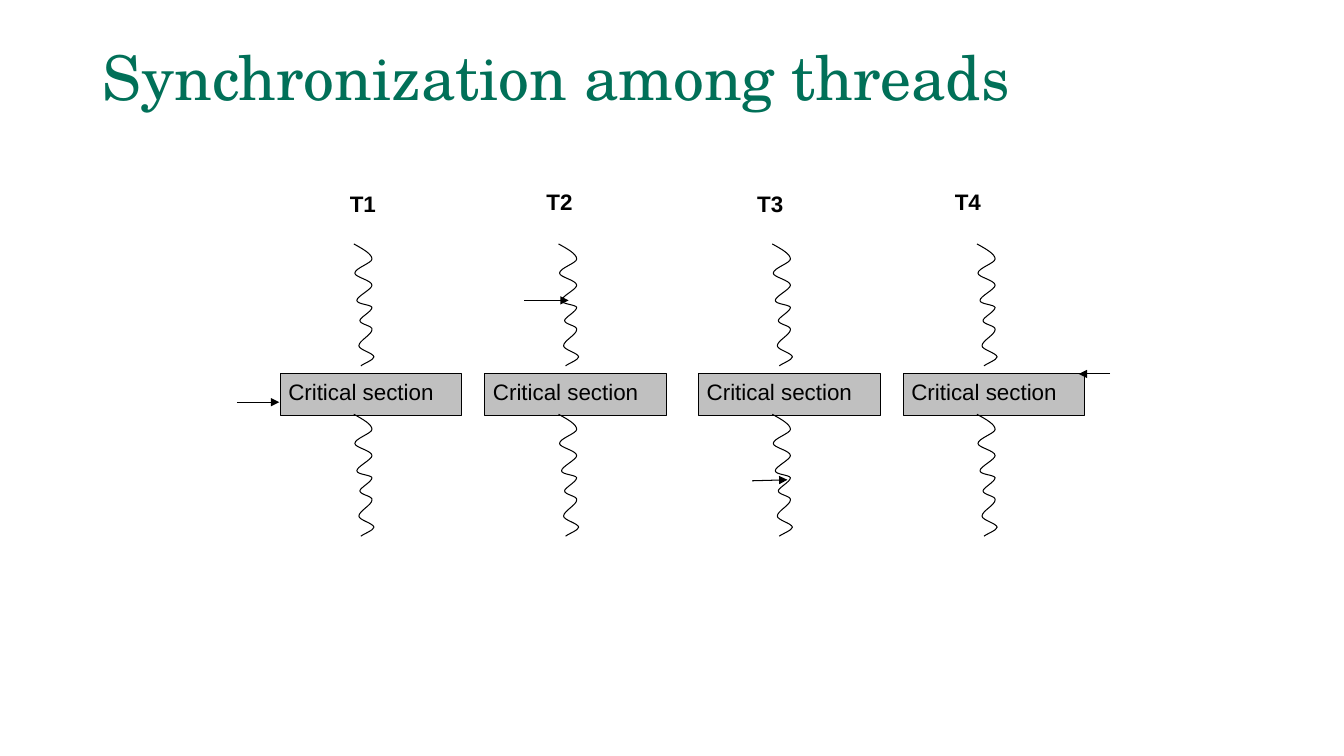
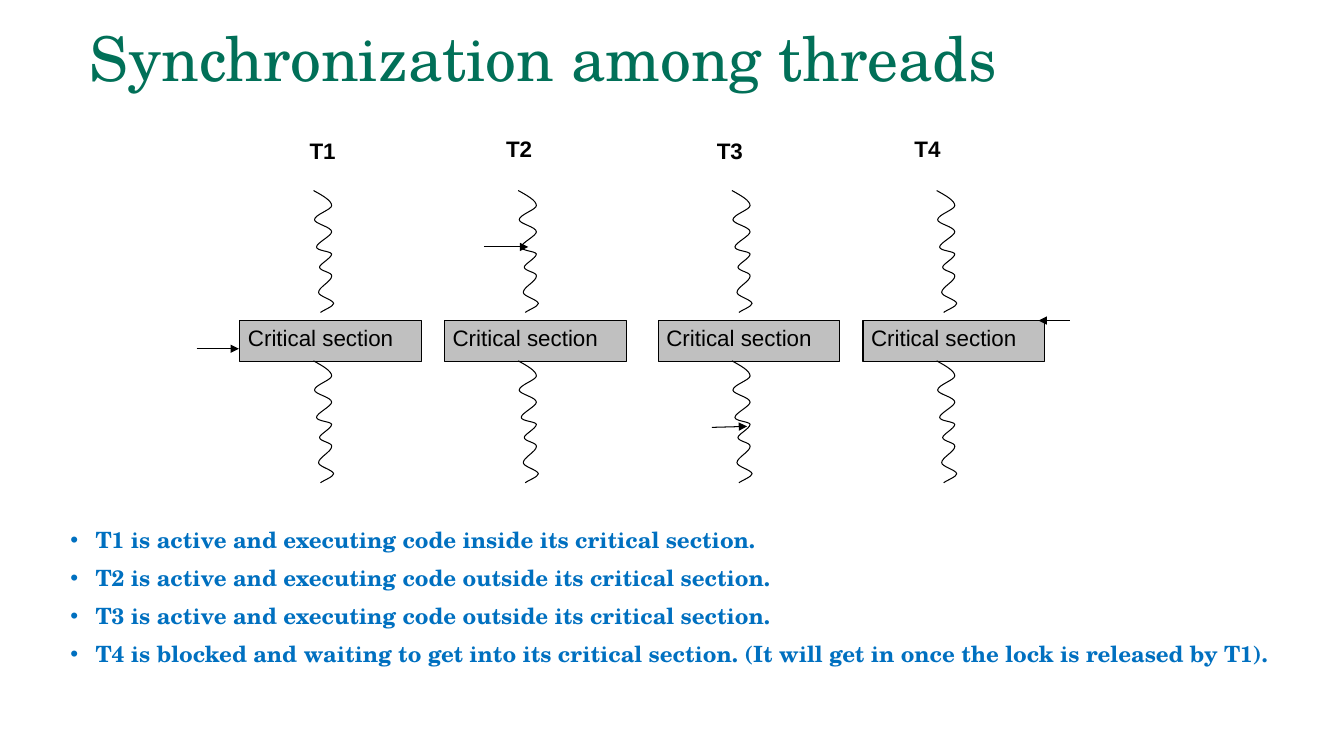
import lxml.etree
import pptx
import pptx.dml.color
import pptx.enum.shapes
import pptx.enum.text
import pptx.oxml.ns
import pptx.util

PX = 9144
SERIF, SANS = "TeX Gyre Schola", "Arial"
GREEN, BLUE, GRAY, BLACK = "017058", "0070C0", "C0C0C0", "000000"
TIGHT = (8, 4)

THREADS = [
    ("T1", 278, 339, 185),
    ("T2", 481, 534, 183),
    ("T3", 693, 743, 185),
    ("T4", 896, 939, 183),
]
ARROWS = [
    (235, 399, 277, 399),
    (520, 298, 564, 298),
    (746, 477, 781, 476),
    (1101, 371, 1070, 371),
]
WAVE = [
    ((9, 5), (18, 10), (18, 15)),
    ((18, 19), (1, 24), (1, 29)),
    ((1, 33), (18, 36), (18, 41)),
    ((18, 45), (3, 52), (3, 56)),
    ((3, 60), (17, 60), (18, 63)),
    ((18, 67), (6, 73), (6, 76)),
    ((6, 80), (19, 81), (18, 85)),
    ((18, 90), (5, 96), (5, 101)),
    ((5, 105), (19, 108), (20, 112)),
    ((20, 115), (9, 119), (7, 121)),
]
STATES = [
    "T1 is active and executing code inside its critical section.",
    "T2 is active and executing code outside its critical section.",
    "T3 is active and executing code outside its critical section.",
    "T4 is blocked and waiting to get into its critical section. "
    "(It will get in once the lock is released by T1).",
]


def emu(*lengths):
    return [pptx.util.Emu(n * PX) for n in lengths]


def rgb(color):
    return pptx.dml.color.RGBColor.from_string(color)


def sub(parent, tag, **attrs):
    return lxml.etree.SubElement(parent, pptx.oxml.ns.qn(tag), **attrs)


def outline(sp):
    sp.line.color.rgb = rgb(BLACK)
    sp.line.width = pptx.util.Pt(0.75)


def write(sp, *lines, size=16, font=SANS, color=BLACK, bold=False, inset=TIGHT,
          middle=False, spacing=None, before=None, bullet=None):
    tf = sp.text_frame
    tf.word_wrap = True
    anchor = pptx.enum.text.MSO_ANCHOR
    tf.vertical_anchor = anchor.MIDDLE if middle else anchor.TOP
    tf.margin_left, tf.margin_top = emu(*inset)
    tf.margin_right, tf.margin_bottom = emu(*inset)
    for i, line in enumerate(lines):
        p = tf.add_paragraph() if i else tf.paragraphs[0]
        p.alignment = pptx.enum.text.PP_ALIGN.LEFT
        p.line_spacing = spacing
        if before:
            p.space_before = pptx.util.Pt(before)
        if bullet:
            pPr = p._p.get_or_add_pPr()
            pPr.set("marL", str(25 * PX))
            pPr.set("indent", str(-25 * PX))
            sub(pPr, "a:buFont", typeface=SANS)
            sub(pPr, "a:buChar", char=bullet)
        r = p.add_run()
        r.text = line
        r.font.size = pptx.util.Pt(size)
        r.font.name = font
        r.font.bold = bold
        r.font.color.rgb = rgb(color)


def text_box(shapes, x, y, w, h, *lines, **style):
    write(shapes.add_textbox(*emu(x, y, w, h)), *lines, **style)


def section_box(shapes, x, y):
    rect = pptx.enum.shapes.MSO_SHAPE.RECTANGLE
    sp = shapes.add_shape(rect, *emu(x, y, 180, 41))
    sp.shadow.inherit = False
    sp.fill.solid()
    sp.fill.fore_color.rgb = rgb(GRAY)
    outline(sp)
    write(sp, "Critical section")


def wave(shapes, x, y):
    builder = shapes.build_freeform(0, 0, scale=PX)
    builder.add_line_segments([curve[-1] for curve in WAVE], close=False)
    sp = builder.convert_to_shape(*emu(x, y))
    segments = list(sp._element.iter(pptx.oxml.ns.qn("a:lnTo")))
    for segment, curve in zip(segments, WAVE):
        bezier = sub(segment.getparent(), "a:cubicBezTo")
        for px, py in curve:
            sub(bezier, "a:pt", x=str(px), y=str(py))
        segment.getparent().replace(segment, bezier)
    sp.shadow.inherit = False
    sp.fill.background()
    outline(sp)


def arrow(shapes, x1, y1, x2, y2):
    straight = pptx.enum.shapes.MSO_CONNECTOR.STRAIGHT
    sp = shapes.add_connector(straight, *emu(x1, y1, x2, y2))
    outline(sp)
    spPr = sp._element.spPr
    sub(spPr.find(pptx.oxml.ns.qn("a:ln")), "a:tailEnd", type="triangle")
    sub(spPr, "a:effectLst")


def thread_diagram(s, dx=0, dy=0):
    shapes = s.shapes.add_group_shape().shapes
    for name, x, label_x, label_y in THREADS:
        wave(shapes, x + 73 + dx, 242 + dy)
        section_box(shapes, x + dx, 371 + dy)
        wave(shapes, x + 73 + dx, 411 + dy)
        text_box(shapes, label_x + dx, label_y + dy, 57, 39, name, bold=True)
    for x1, y1, x2, y2 in ARROWS:
        arrow(shapes, x1 + dx, y1 + dy, x2 + dx, y2 + dy)


def add_slide(prs, x, y):
    s = prs.slides.add_slide(prs.slide_layouts[6])
    text_box(s.shapes, x, y, 1150, 80, "Synchronization among threads", size=44,
             font=SERIF, color=GREEN, inset=(10, 5), middle=True, spacing=0.9)
    return s


def main():
    prs = pptx.Presentation()
    prs.slide_width, prs.slide_height = emu(1333, 750)

    thread_diagram(add_slide(prs, 92, 40))

    s = add_slide(prs, 79, 21)
    text_box(s.shapes, 60, 520, 1245, 154, *STATES, font=SERIF, color=BLUE,
             bold=True, inset=(10, 5), spacing=0.9, before=10, bullet="•")
    thread_diagram(s, -40, -53)

    prs.save("out.pptx")


if __name__ == "__main__":
    main()
